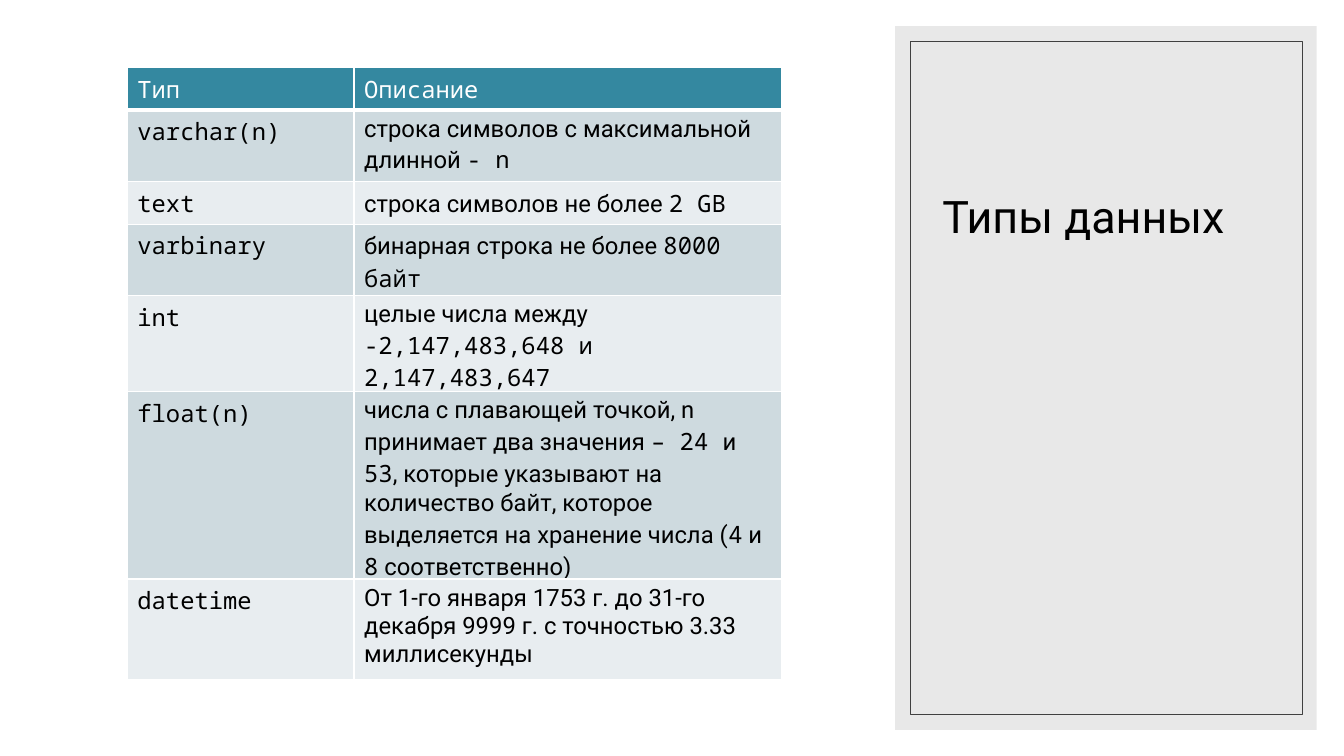
from pptx import Presentation
from pptx.dml.color import RGBColor
from pptx.enum.shapes import MSO_SHAPE as Shape
from pptx.enum.text import MSO_ANCHOR as Anchor
from pptx.oxml.ns import qn
from pptx.util import Pt
from lxml.etree import SubElement

COLORS = {
    "white": "FFFFFF", "black": "000000", "panel": "D9D9D9", "frame": "404040",
    "header": "3488A0", "odd": "CEDADF", "even": "E8EDF0",
}
SANS, MONO = "Roboto", "Noto Sans Mono"


def color(name):
    return RGBColor.from_string(COLORS[name])


def add_text(para, text, font=SANS, size=17, ink="black"):
    span = para.add_run()
    span.text = text
    span.font.name = font
    span.font.size = Pt(size)
    span.font.color.rgb = color(ink)


deck = Presentation()
deck.slide_width, deck.slide_height = Pt(960), Pt(540)
page = deck.slides.add_slide(deck.slide_layouts[6])

panel = page.shapes.add_shape(Shape.RECTANGLE, Pt(639.4), Pt(18.7), Pt(301), Pt(502.6))
panel.shadow.inherit = False
panel.fill.solid()
panel.fill.fore_color.rgb = color("panel")
panel.line.fill.background()
panel_color = panel.fill._xPr.find(qn("a:solidFill"))[0]
SubElement(panel_color, qn("a:alpha"), val="60000")

frame = page.shapes.add_shape(Shape.RECTANGLE, Pt(650.2), Pt(29.5), Pt(280), Pt(481))
frame.shadow.inherit = False
frame.fill.background()
frame.line.color.rgb = color("frame")
frame.line.width = Pt(0.5)

title = page.shapes.add_textbox(Pt(666), Pt(47.5), Pt(249), Pt(129.6)).text_frame
title.word_wrap = True
title.vertical_anchor = Anchor.BOTTOM
add_text(title.paragraphs[0], "Типы данных", size=32)

# Runs in each description paragraph alternate between SANS and MONO.
TYPES = [
    ("varchar(n)", 51, [["строка символов с максимальной длинной ", "- n"]]),
    ("text", 30.4, [["строка символов не более ", "2 GB"]]),
    ("varbinary", 51, [["бинарная строка не более ", "8000 байт"]]),
    ("int", 51, [["целые числа между"], ["", "-2,147,483,648 и 2,147,483,647"]]),
    ("float(n)", 134, [[
        "числа с плавающей точкой, n принимает два значения ", "– 24 ", "и ", "53",
        ", которые указывают на количество байт, которое выделяется на хранение числа (",
        "4", " и ", "8", " соответственно)",
    ]]),
    ("datetime", 72, [[
        "От 1-го января 1753 г. до 31-го декабря 9999 г. с точностью 3.33 миллисекунды",
    ]]),
]

table = page.shapes.add_table(
    len(TYPES) + 1, 2, Pt(90.9), Pt(48.4), Pt(467.3), Pt(437)).table
table.horz_banding = False
for column, width in zip(table.columns, (162, 305.3)):
    column.width = Pt(width)

table.rows[0].height = Pt(30.4)
for cell, heading in zip(table.rows[0].cells, ("Тип", "Описание")):
    add_text(cell.text_frame.paragraphs[0], heading, font=MONO, ink="white")

for number, (name, height, description) in enumerate(TYPES, 1):
    table.rows[number].height = Pt(height)
    add_text(table.cell(number, 0).text_frame.paragraphs[0], name, font=MONO)
    body = table.cell(number, 1).text_frame
    for index, runs in enumerate(description):
        para = body.add_paragraph() if index else body.paragraphs[0]
        for position, text in enumerate(runs):
            if text:
                add_text(para, text, font=MONO if position % 2 else SANS)

for number, row in enumerate(table.rows):
    shade = "header" if number == 0 else "odd" if number % 2 else "even"
    for cell in row.cells:
        properties = cell._tc.get_or_add_tcPr()
        for side in ("lnL", "lnR", "lnT", "lnB"):
            weight = Pt(3 if number == 0 and side == "lnB" else 1)
            border = SubElement(properties, qn(f"a:{side}"), w=str(int(weight)))
            paint = SubElement(border, qn("a:solidFill"))
            SubElement(paint, qn("a:srgbClr"), val=COLORS["white"])
        cell.fill.solid()
        cell.fill.fore_color.rgb = color(shade)

deck.save("out.pptx")
